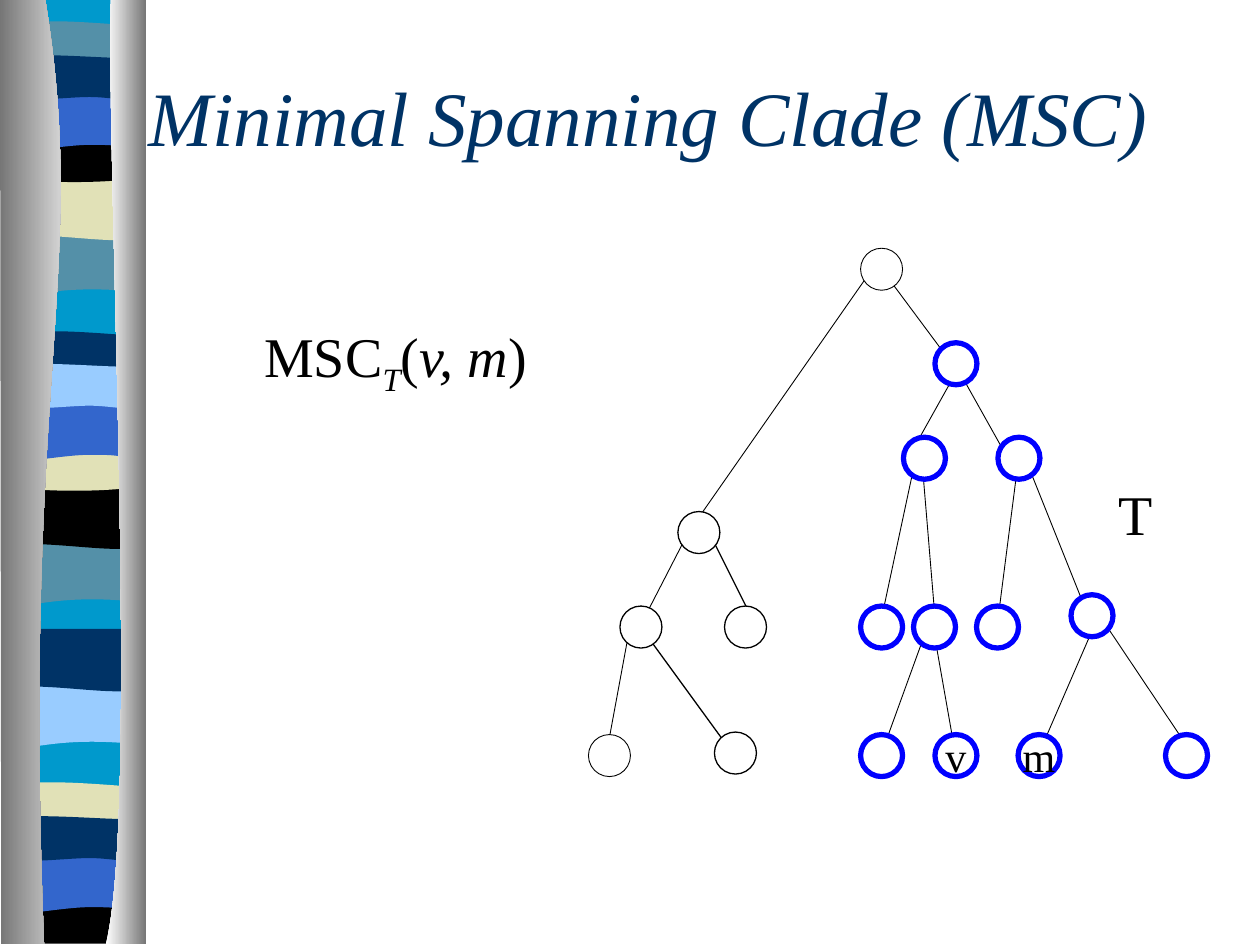
from lxml.etree import SubElement
from pptx import Presentation
from pptx.dml.color import RGBColor
from pptx.enum.shapes import MSO_CONNECTOR as Link, MSO_SHAPE as Shape
from pptx.enum.text import MSO_ANCHOR as Anchor, PP_ALIGN as Align
from pptx.oxml.ns import qn
from pptx.util import Cm, Pt

FONT = "Times New Roman"
BLACK, WHITE, BLUE, NAVY = "000000", "FFFFFF", "0000FF", "003366"
TEAL, SAND, ROYAL, SKY, CYAN = "5490A8", "E1E1B7", "3366CC", "99CCFF", "0099CC"
GREY = "767676"
NODE = 1 / 3
BAND_LEFT = 0.05

SWOOP = [(1.08, 0), (1.08, 0.47), (0.33, 0.39, 0.18, 0.55, 0, 0.47), (0, 0)]
DIP = [(1.08, 0), (1.08, 0.47), (0.9, 0.55, 0.33, 0.42, 0, 0.47), (0, 0)]
RIBBON = [(1.08, 0), (1.08, 0.24), (0.9, 0.28, 0.18, 0.28, 0, 0.24), (0, 0),
          (0.06, -0.05, 0.23, -0.04, 0.41, -0.04), (0.59, -0.04, 0.94, -0.01, 1.08, 0)]
BOWL = [(1.08, 0), (1.08, 0.32), (0.9, 0.38, 0.18, 0.38, 0, 0.32), (0, 0),
        (0.66, 0.05, 0.85, 0, 1.08, 0)]
ARCH = [(1.08, 0), (1.08, 0.47), (0.91, 0.41, 0.84, 0.41, 0.66, 0.41),
        (0.48, 0.41, 0.16, 0.47, 0, 0.47), (0, 0)]
WAVE = [(1.08, 0), (1.08, 0.31), (1.01, 0.36, 0.84, 0.31, 0.66, 0.31),
        (0.48, 0.31, 0.11, 0.36, 0, 0.31), (0, 0), (0.15, -0.05, 0.73, 0, 0.91, 0),
        (1.1, 0, 1.05, 0, 1.08, 0)]
FOOT = [(1.08, 0), (1.08, 0.37), (0, 0.37), (0, 0), (0.66, 0.05, 0.85, 0, 1.08, 0)]
PANEL = [(1.08, 0), (1.08, 7.47), (0, 7.47), (0, 0)]

BANDS = [
    (PANEL, 0, CYAN),
    (SWOOP, 1.85, TEAL), (DIP, 1.41, SAND), (RIBBON, 0.21, TEAL), (BOWL, 1.08, BLACK),
    (ARCH, 0.74, ROYAL), (WAVE, 0.46, NAVY),
    (SWOOP, 4.31, TEAL), (DIP, 3.86, BLACK), (RIBBON, 2.67, NAVY), (BOWL, 3.53, SAND),
    (ARCH, 3.2, ROYAL), (WAVE, 2.91, SKY),
    (SWOOP, 5.44, SKY), (DIP, 4.99, NAVY), (RIBBON, 6.25, SAND), (FOOT, 7.12, BLACK),
    (ARCH, 6.79, ROYAL), (WAVE, 6.5, NAVY),
]
LEFT_RAIL = [(0.36, 0), (0.71, 2.16, 0.17, 2.96, 0.35, 7.49), (0.01, 7.49), (0, 0)]
RIGHT_RAIL = [(0.88, 0), (0.84, 1.25, 1.11, 6.46, 0.84, 7.49), (1.16, 7.49), (1.16, 0)]

THIN_EDGES = [
    (2.92, 1.14, 1.53, 3.13), (3, 1.14, 3.58, 1.92), (3.58, 1.89, 4, 2.64),
    (3.58, 1.97, 3.25, 2.56), (1.42, 3.31, 1.08, 3.97), (1, 3.97, 0.83, 4.89),
    (3.33, 2.81, 3.42, 3.89), (4.08, 2.67, 3.92, 3.92), (4.17, 2.72, 4.67, 3.97),
    (4.67, 4, 4.25, 4.97), (3.42, 4.06, 3.58, 4.97), (4.75, 3.92, 5.42, 4.92),
    (3.25, 2.72, 3, 3.89), (3.33, 4.06, 3, 4.97),
]
THICK_EDGES = [(1.67, 3.31, 2, 3.97), (1.08, 3.97, 1.75, 4.89)]
NODE_GROUPS = [
    (BLACK, 0.5, [(0.67, 4.83, ""), (2.83, 0.97, "")]),
    (BLACK, 0.75, [(1.75, 3.81, ""), (1.38, 3.06, ""), (0.92, 3.81, ""), (1.67, 4.81, "")]),
    (BLUE, 3, [(3.42, 1.72, ""), (3.17, 2.47, ""), (3.92, 2.47, ""), (2.83, 3.81, ""),
               (3.25, 3.81, ""), (3.75, 3.81, ""), (4.5, 3.72, ""), (2.83, 4.83, ""),
               (3.42, 4.83, "v"), (4.08, 4.83, "m"), (5.25, 4.83, "")]),
]


def inch(value):
    return Cm(value * 2.54)


def color(value):
    return RGBColor.from_string(value)


def style_span(span, size, tint, italic=False):
    span.font.name = FONT
    span.font.size = Pt(size)
    span.font.italic = italic
    span.font.color.rgb = color(tint)


def add_outline(page, steps, left, top):
    points = [(inch(left + x), inch(top + y))
              for step in steps for x, y in zip(step[::2], step[1::2])]
    builder = page.shapes.build_freeform(*points[0], scale=1.0)
    builder.add_line_segments(points[1:], close=True)
    outline = builder.convert_to_shape()
    segments = iter(list(outline._element.iter(qn("a:lnTo"))))
    for step in steps[1:]:
        first = next(segments)
        if len(step) == 6:
            curve = first.makeelement(qn("a:cubicBezTo"))
            first.addprevious(curve)
            for segment in (first, next(segments), next(segments)):
                curve.append(segment[0])
                segment.getparent().remove(segment)
    outline.shadow.inherit = False
    outline.line.fill.background()
    return outline


def draw_border(page, left, top):
    for steps, offset, tint in BANDS:
        band = add_outline(page, steps, left + BAND_LEFT, top + offset)
        band.fill.solid()
        band.fill.fore_color.rgb = color(tint)
    for steps, tints in ((LEFT_RAIL, (GREY, WHITE)), (RIGHT_RAIL, (WHITE, GREY))):
        rail = add_outline(page, steps, left, top)
        rail.fill.gradient()
        rail.fill.gradient_angle = 0
        for stop, tint in zip(rail.fill.gradient_stops, tints):
            stop.color.rgb = color(tint)


def add_text(page, left, top, width, height, pieces, size, tint=BLACK, align=Align.CENTER):
    box = page.shapes.add_textbox(inch(left), inch(top), inch(width), inch(height))
    box.text_frame.vertical_anchor = Anchor.MIDDLE
    box.text_frame.word_wrap = False
    para = box.text_frame.paragraphs[0]
    para.alignment = align
    for words, italic, baseline in pieces:
        span = para.add_run()
        span.text = words
        style_span(span, size, tint, italic)
        if baseline:
            span.font._element.set("baseline", str(baseline))


def draw_title(page, left, top, width, height):
    pieces = [("Minimal Spanning Clade (MSC)", True, 0)]
    add_text(page, left, top, width, height, pieces, 44, NAVY, Align.LEFT)


def draw_formula(page, left, top, width, height):
    pieces = [("MSC", False, 0), ("T", True, -25000), ("(", False, 0),
              ("v, m", True, 0), (")", False, 0)]
    add_text(page, left, top, width, height, pieces, 32)


def draw_edge(page, left, top, ends, weight):
    x1, y1, x2, y2 = ends
    edge = page.shapes.add_connector(
        Link.STRAIGHT, inch(left + x1), inch(top + y1), inch(left + x2), inch(top + y2))
    edge.line.color.rgb = color(BLACK)
    edge.line.width = Pt(weight)
    SubElement(edge._element.spPr, qn("a:effectLst"))


def draw_node(page, left, top, label, tint, weight):
    node = page.shapes.add_shape(Shape.OVAL, inch(left), inch(top), inch(NODE), inch(NODE))
    node.shadow.inherit = False
    node.fill.solid()
    node.fill.fore_color.rgb = color(WHITE)
    node.line.color.rgb = color(tint)
    node.line.width = Pt(weight)
    if label:
        node.text_frame.text = label
        node.text_frame.word_wrap = False
        node.text_frame.vertical_anchor = Anchor.MIDDLE
        para = node.text_frame.paragraphs[0]
        para.alignment = Align.CENTER
        style_span(para.runs[0], 24, BLACK)


def draw_tree(page, left, top):
    for weight, edges in ((0.5, THIN_EDGES), (0.75, THICK_EDGES)):
        for ends in edges:
            draw_edge(page, left, top, ends, weight)
    for tint, weight, nodes in NODE_GROUPS:
        for x, y, label in nodes:
            draw_node(page, left + x, top + y, label, tint, weight)
    add_text(page, left + 4.78, top + 2.75, 0.47, 0.64, [("T", False, 0)], 32)


def main():
    deck = Presentation()
    deck.slide_width, deck.slide_height = inch(10), inch(7.5)
    page = deck.slides.add_slide(deck.slide_layouts[6])
    draw_border(page, 0, 0)
    draw_title(page, 1.08, 0.58, 8.67, 0.67)
    draw_formula(page, 1.98, 2.5, 2.32, 0.71)
    draw_tree(page, 4, 1)
    deck.save("out.pptx")


if __name__ == "__main__":
    main()
